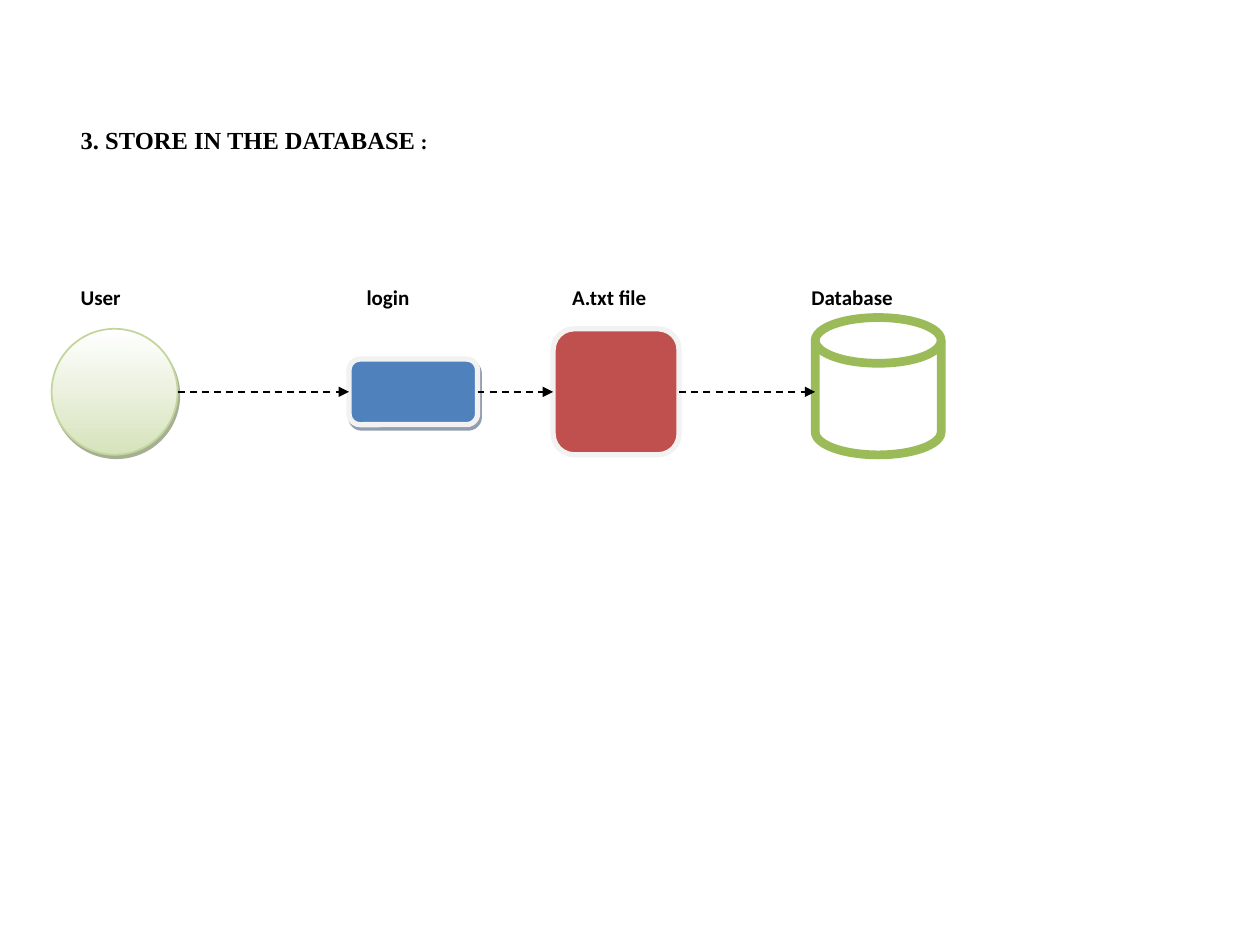
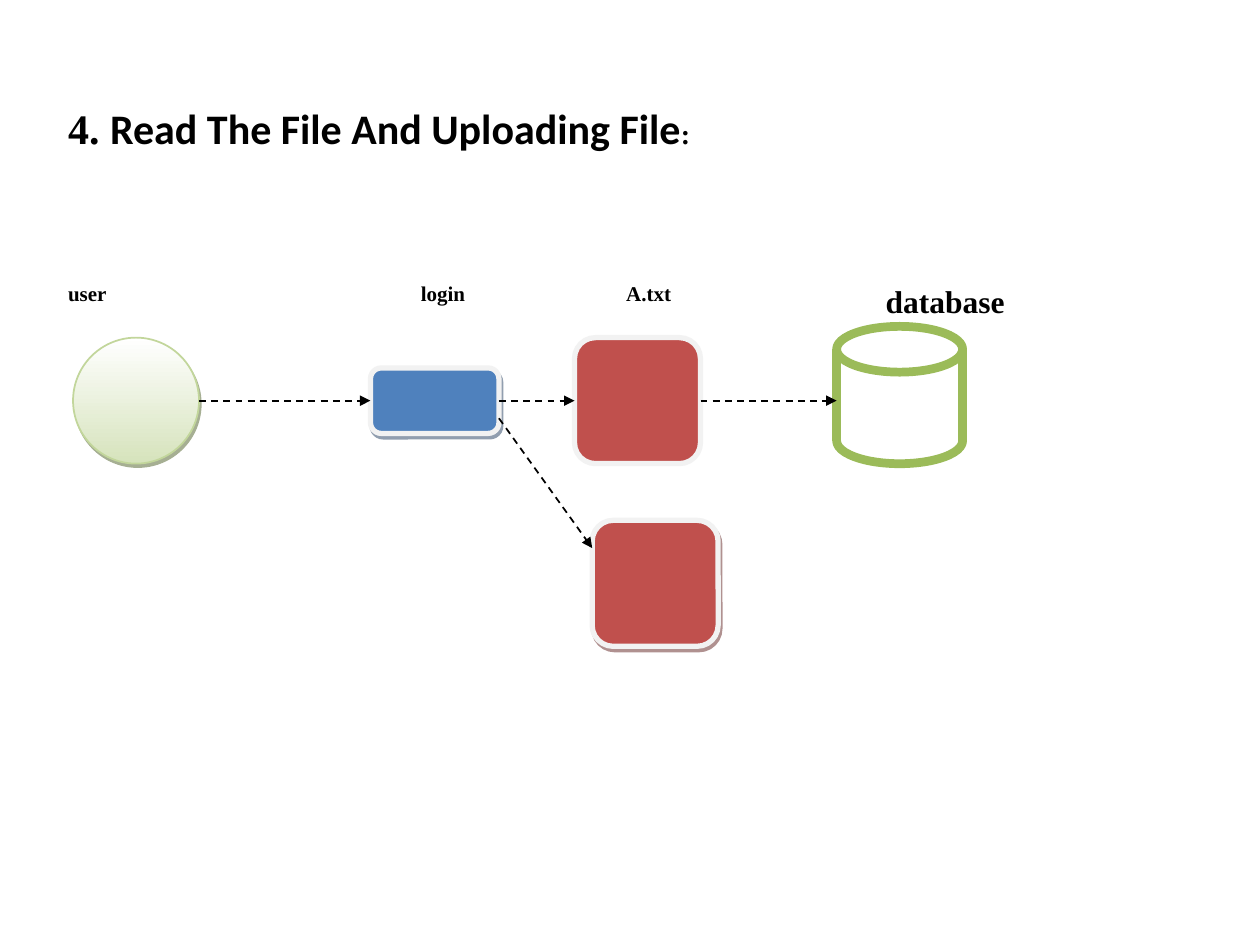
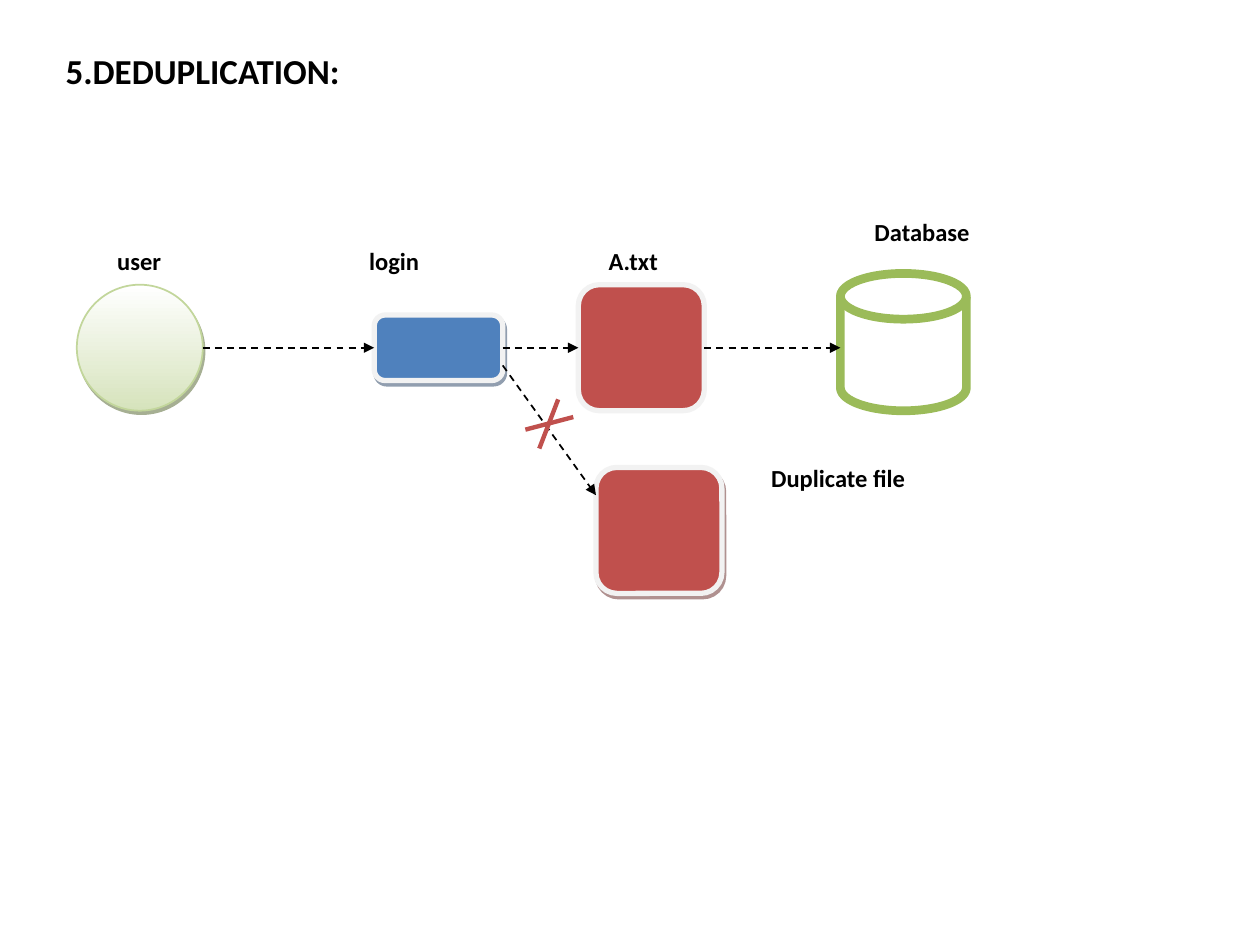
import pptx
import pptx.dml.color
import pptx.enum.dml
import pptx.enum.shapes
import pptx.enum.text
import pptx.oxml
import pptx.oxml.ns
import pptx.util
from pptx.util import Inches

SHAPE = pptx.enum.shapes.MSO_SHAPE
ANCHOR = pptx.enum.text.MSO_ANCHOR
SANS, SERIF = "Calibri", "Times New Roman"
BLACK, WHITE, PALE = "000000", "FFFFFF", "F2F2F2"
BLUE, RED, GREEN = "4F81BD", "C0504D", "9BBB59"
TITLE_ONLY = 5


def rgb(color):
    return pptx.dml.color.RGBColor.from_string(color)


def xml(tag, content):
    """Make one DrawingML element from its tag with attributes, and its content."""
    name = tag.split()[0]
    return pptx.oxml.parse_xml(f"<a:{tag} {pptx.oxml.ns.nsdecls('a')}>{content}</a:{name}>")


class Deck:
    def __init__(self):
        self.prs = pptx.Presentation()
        self.prs.slide_width, self.prs.slide_height = Inches(10), Inches(7.5)
        self.slide = None

    def add_runs(self, frame, runs, anchor):
        """Fill a frame with bold runs given as (text, font, size)."""
        frame.word_wrap = True
        frame.auto_size = pptx.enum.text.MSO_AUTO_SIZE.NONE
        frame.vertical_anchor = anchor
        paragraph = frame.paragraphs[0]
        paragraph.alignment = pptx.enum.text.PP_ALIGN.LEFT
        for text, font, size in runs:
            run = paragraph.add_run()
            run.text = text
            run.font.name, run.font.size = font, pptx.util.Pt(size)
            run.font.bold = True
            run.font.color.rgb = rgb(BLACK)

    def add_slide(self, box, runs):
        """Start a slide with its title in box (left, top, width, height)."""
        self.slide = self.prs.slides.add_slide(self.prs.slide_layouts[TITLE_ONLY])
        title = self.slide.shapes.title
        title.left, title.top, title.width, title.height = map(Inches, box)
        self.add_runs(title.text_frame, runs, ANCHOR.TOP)

    def label(self, text, left, middle, font, size):
        """Put a one-line label at left, centred on the height middle."""
        height = 0.3
        frame = self.slide.shapes.add_textbox(
            Inches(left), Inches(middle - height / 2), Inches(1.4), Inches(height)).text_frame
        frame.margin_left = frame.margin_right = frame.margin_top = frame.margin_bottom = 0
        self.add_runs(frame, [(text, font, size)], ANCHOR.MIDDLE)

    def node(self, kind, box, fill, line, weight, shadow=None):
        """Add a shape; a pair of fills makes a gradient from top to bottom."""
        node = self.slide.shapes.add_shape(kind, *map(Inches, box))
        if isinstance(fill, tuple):
            node.fill.gradient()
            node.fill.gradient_angle = 270
            for position, (stop, color) in enumerate(zip(node.fill.gradient_stops, fill)):
                stop.color.rgb, stop.position = rgb(color), position
        else:
            node.fill.solid()
            node.fill.fore_color.rgb = rgb(fill)
        node.line.color.rgb = rgb(line)
        node.line.width = pptx.util.Pt(weight)
        node.shadow.inherit = False
        if shadow:
            effects = node._element.spPr.find(pptx.oxml.ns.qn("a:effectLst"))
            effects.append(xml('outerShdw dist="28000" dir="3780000" algn="ctr" rotWithShape="0"',
                               f'<a:srgbClr val="{shadow}"><a:alpha val="50000"/></a:srgbClr>'))
        return node

    def line(self, start, end, color, weight):
        line = self.slide.shapes.add_connector(
            pptx.enum.shapes.MSO_CONNECTOR.STRAIGHT, *map(Inches, start + end))
        line.line.color.rgb = rgb(color)
        line.line.width = pptx.util.Pt(weight)
        line._element.spPr.append(xml("effectLst", ""))
        return line

    def arrow(self, start, end, source=None, target=None):
        """Draw a dashed arrow, joined to the right of source and the left of target."""
        arrow = self.line(start, end, BLACK, 1)
        arrow.line.dash_style = pptx.enum.dml.MSO_LINE.DASH
        arrow._element.spPr.find(pptx.oxml.ns.qn("a:ln")).append(xml('tailEnd type="triangle"', ""))
        if source:
            arrow.begin_connect(source, 3)
        if target:
            arrow.end_connect(target, 1)

    def flow(self, left, top, duplicate=False):
        """Draw user, login, file and database, with the user circle at (left, top)."""
        login_x, file_x, database_x = left + 2.36, left + 3.98, left + 6.06
        login_width, login_height = 1.02, 0.52
        login_end = login_x + login_width
        middle = top + 0.5
        self.node(SHAPE.OVAL, (left, top, 1, 1), (WHITE, "D6E3BC"), "C2D69B", 1, "4E6128")
        login = self.node(SHAPE.ROUNDED_RECTANGLE,
                          (login_x, middle - login_height / 2, login_width, login_height),
                          BLUE, PALE, 3, "243F60")
        file = self.node(SHAPE.ROUNDED_RECTANGLE, (file_x, top, 1, 1), RED, PALE, 3)
        self.node(SHAPE.FLOWCHART_MAGNETIC_DISK, (database_x, top - 0.09, 1, 1.09),
                  WHITE, GREEN, 5)
        self.arrow((left + 1, middle), (login_x, middle), target=login)
        self.arrow((login_end, middle), (file_x, middle), login, file)
        self.arrow((file_x + 1, middle), (database_x, middle), source=file)
        if duplicate:
            duplicate_x, duplicate_y = left + 4.12, top + 1.45
            self.node(SHAPE.ROUNDED_RECTANGLE, (duplicate_x, duplicate_y, 1, 1),
                      RED, PALE, 3, "622423")
            self.arrow((login_end, middle + 0.14), (duplicate_x, duplicate_y + 0.22))


def main():
    deck = Deck()

    deck.add_slide((0.54, 0.94, 9.4, 0.64),
                   [("3. STORE IN THE DATABASE", SERIF, 14), (" :", SERIF, 12)])
    deck.flow(0.41, 2.61)
    for text, left in (("User", 0.64), ("login", 2.91), ("A.txt file", 4.54), ("Database", 6.44)):
        deck.label(text, left, 2.36, SANS, 12)

    deck.add_slide((0.44, 0.76, 5.84, 0.71),
                   [("4. ", SERIF, 24), ("Read The File And Uploading File", SANS, 24),
                    (":", SERIF, 16)])
    deck.flow(0.58, 2.68, duplicate=True)
    for text, left in (("user", 0.54), ("login", 3.34), ("A.txt", 4.97)):
        deck.label(text, left, 2.33, SERIF, 12)
    deck.label("database", 7.03, 2.39, SERIF, 18)

    deck.add_slide((0.42, 0.34, 2.55, 0.77), [("5.DEDUPLICATION:", SANS, 20)])
    deck.flow(0.61, 2.26, duplicate=True)
    for start, end in (((4.43, 3.17), (4.28, 3.56)), ((4.17, 3.41), (4.55, 3.31))):
        deck.line(start, end, RED, 2.5)
    for text, left, middle in (("user", 0.93, 2.07), ("login", 2.93, 2.07), ("A.txt", 4.83, 2.07),
                               ("Database", 6.94, 1.84), ("Duplicate file", 6.12, 3.79)):
        deck.label(text, left, middle, SANS, 14)

    deck.prs.save("out.pptx")


if __name__ == "__main__":
    main()
